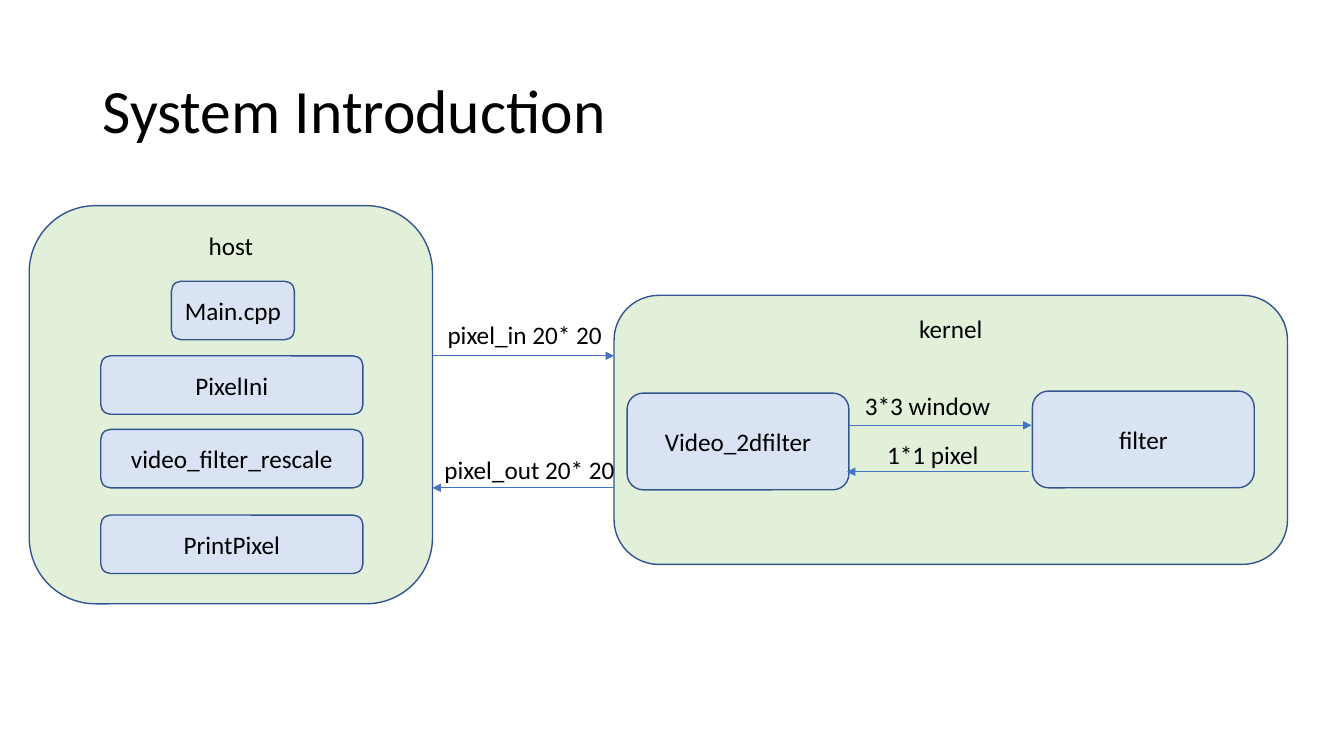
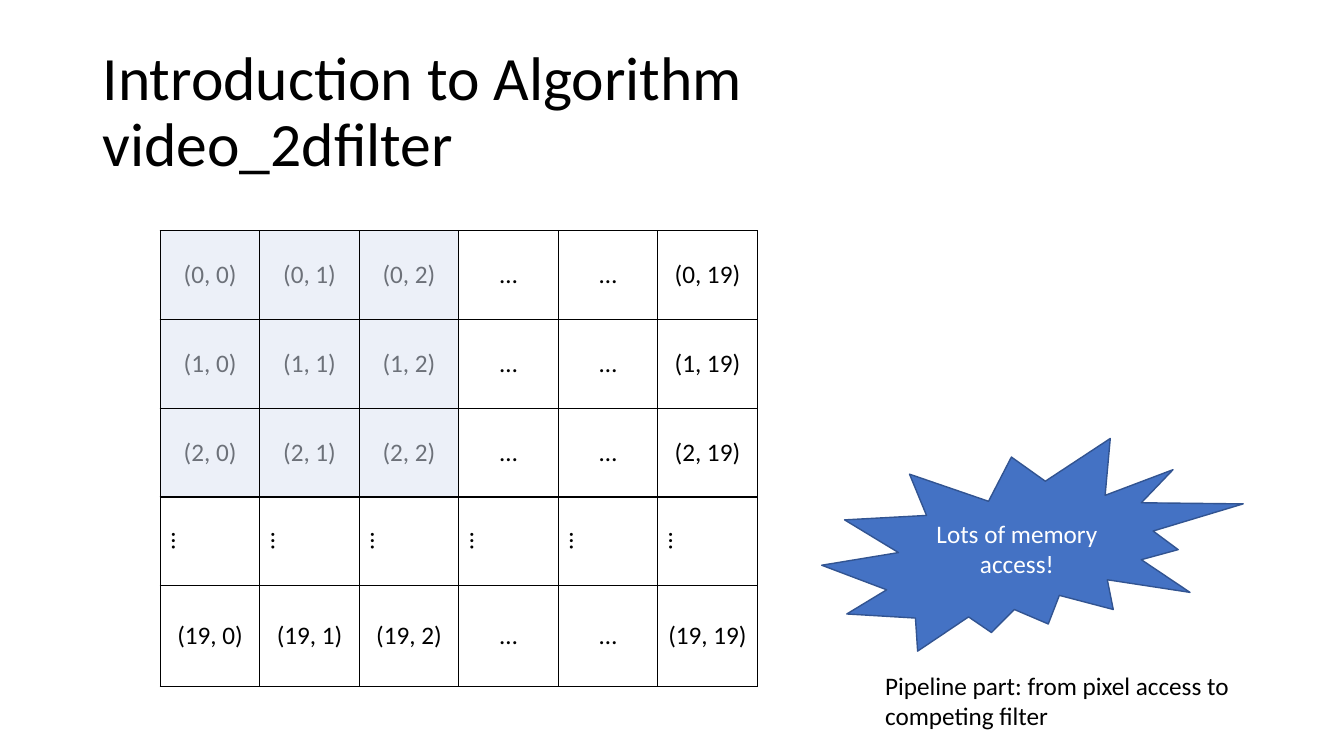
"""Two slides on a video filter: its system and its memory access."""
from lxml.etree import SubElement
from pptx import Presentation
from pptx.dml.color import RGBColor
from pptx.enum.shapes import MSO_CONNECTOR, MSO_SHAPE
from pptx.enum.text import MSO_ANCHOR, PP_ALIGN
from pptx.oxml import parse_xml
from pptx.oxml.ns import nsdecls, qn
from pptx.util import Inches, Pt

GREEN, PALE, BLUE, EDGE = "E2F0D9", "DAE3F3", "4472C4", "325491"
BLACK, WHITE = "000000", "FFFFFF"
UNIT = Inches(0.1)


def paint(fmt, tone):
    fmt.solid()
    fmt.fore_color.rgb = RGBColor.from_string(tone)


def write(frame, text, size=18, tone=BLACK, align=PP_ALIGN.CENTER,
          anchor=MSO_ANCHOR.MIDDLE, wrap=True, space=1.0):
    frame.text = text
    frame.word_wrap = wrap
    frame.vertical_anchor = anchor
    for para in frame.paragraphs:
        para.alignment = align
        para.line_spacing = space
        for run in para.runs:
            run.font.name = "Calibri"
            run.font.size = Pt(size)
            run.font.bold = False
            paint(run.font.fill, tone)


deck = Presentation()
deck.slide_width, deck.slide_height = Inches(13.33), Inches(7.5)
pages = []
for title in ("System Introduction", "Introduction to Algorithm\nvideo_2dfilter"):
    page = deck.slides.add_slide(deck.slide_layouts[6])
    box = page.shapes.add_textbox(*[int(n * UNIT) for n in (9.2, 4, 115, 14.5)])
    write(box.text_frame, title, size=44, align=PP_ALIGN.LEFT, space=0.9)
    pages.append(page)
flow, grid = pages

ROUND, BURST = MSO_SHAPE.ROUNDED_RECTANGLE, MSO_SHAPE.EXPLOSION2
TOP, MID = MSO_ANCHOR.TOP, MSO_ANCHOR.MIDDLE
for page, kind, text, spot, fill, tone, anchor in (
    (flow, ROUND, "host", (2.9, 20.4, 40, 39.5), GREEN, BLACK, TOP),
    (flow, ROUND, "Main.cpp", (17, 27.9, 12.2, 5.8), PALE, BLACK, MID),
    (flow, ROUND, "PixelIni", (10, 35.3, 26, 5.8), PALE, BLACK, MID),
    (flow, ROUND, "video_filter_rescale", (10, 42.6, 26, 5.8), PALE, BLACK, MID),
    (flow, ROUND, "PrintPixel", (10, 51.1, 26, 5.8), PALE, BLACK, MID),
    (flow, ROUND, "kernel", (60.9, 29.3, 66.8, 26.7), GREEN, BLACK, TOP),
    (flow, ROUND, "Video_2dfilter", (62.2, 39, 22, 9.6), PALE, BLACK, MID),
    (flow, ROUND, "filter", (102.4, 38.8, 22, 9.6), PALE, BLACK, MID),
    (grid, BURST, "Lots of memory access!", (81.5, 43.5, 41.8, 21.1), BLUE, WHITE, MID),
):
    shape = page.shapes.add_shape(kind, *[int(n * UNIT) for n in spot])
    shape.shadow.inherit = False
    paint(shape.fill, fill)
    paint(shape.line.fill, EDGE)
    shape.line.width = Pt(1)
    write(shape.text_frame, text, tone=tone, anchor=anchor)

for start, end, row in ((42.9, 60.9, 35.3), (60.9, 42.9, 48.4),
                        (84.2, 102.3, 42.2), (102.1, 84, 46.8)):
    ends = [int(n * UNIT) for n in (start, row, end, row)]
    arrow = flow.shapes.add_connector(MSO_CONNECTOR.STRAIGHT, *ends)
    paint(arrow.line.fill, BLUE)
    arrow.line.width = Pt(0.5)
    SubElement(arrow.line._get_or_add_ln(), qn("a:tailEnd"), type="triangle")
    SubElement(arrow._element.spPr, qn("a:effectLst"))

for page, text, spot, wrap in (
    (flow, "pixel_in 20* 20", (43.4, 31.2, 17.5, 4), False),
    (flow, "pixel_out 20* 20", (43.1, 44.6, 19.1, 4), False),
    (flow, "3*3 window", (84.8, 38.2, 14.6, 4), False),
    (flow, "1*1 pixel", (87, 43.1, 11.2, 4), False),
    (grid, "Pipeline part: from pixel access to competing filter",
     (86.8, 66, 36.5, 7.1), True),
):
    box = page.shapes.add_textbox(*[int(n * UNIT) for n in spot])
    write(box.text_frame, text, align=PP_ALIGN.LEFT, anchor=TOP, wrap=wrap)

cells = [[f"({r}, 0)", f"({r}, 1)", f"({r}, 2)", "…", "…", f"({r}, 19)"]
         for r in (0, 1, 2, 19)]
cells.insert(3, ["…"] * 6)
for rows, tint in ((cells, None), ([[""] * 3] * 3, PALE)):
    high = [10 if r == 4 else 8.8 for r in range(len(rows))]
    wide = 9.87 * len(rows[0])
    spot = [int(n * UNIT) for n in (15.9, 22.9, wide, sum(high))]
    table = grid.shapes.add_table(len(rows), len(rows[0]), *spot).table
    table.first_row = table.horz_banding = False
    for r, row in enumerate(rows):
        table.rows[r].height = int(high[r] * UNIT)
        for c, text in enumerate(row):
            cell = table.cell(r, c)
            write(cell.text_frame, text)
            cell.vertical_anchor = MID
            props = cell._tc.get_or_add_tcPr()
            if r == 3:
                props.set("vert", "eaVert")
            if tint:
                paint(cell.fill, tint)
                SubElement(props.find(".//" + qn("a:srgbClr")),
                           qn("a:alpha"), val="50000")
            else:
                cell.fill.background()
            for i, side in enumerate("LRTB"):
                props.insert(i, parse_xml(
                    f'<a:ln{side} {nsdecls("a")} w="12700"><a:solidFill>'
                    f'<a:srgbClr val="{BLACK}"/></a:solidFill></a:ln{side}>'))

deck.save("out.pptx")
